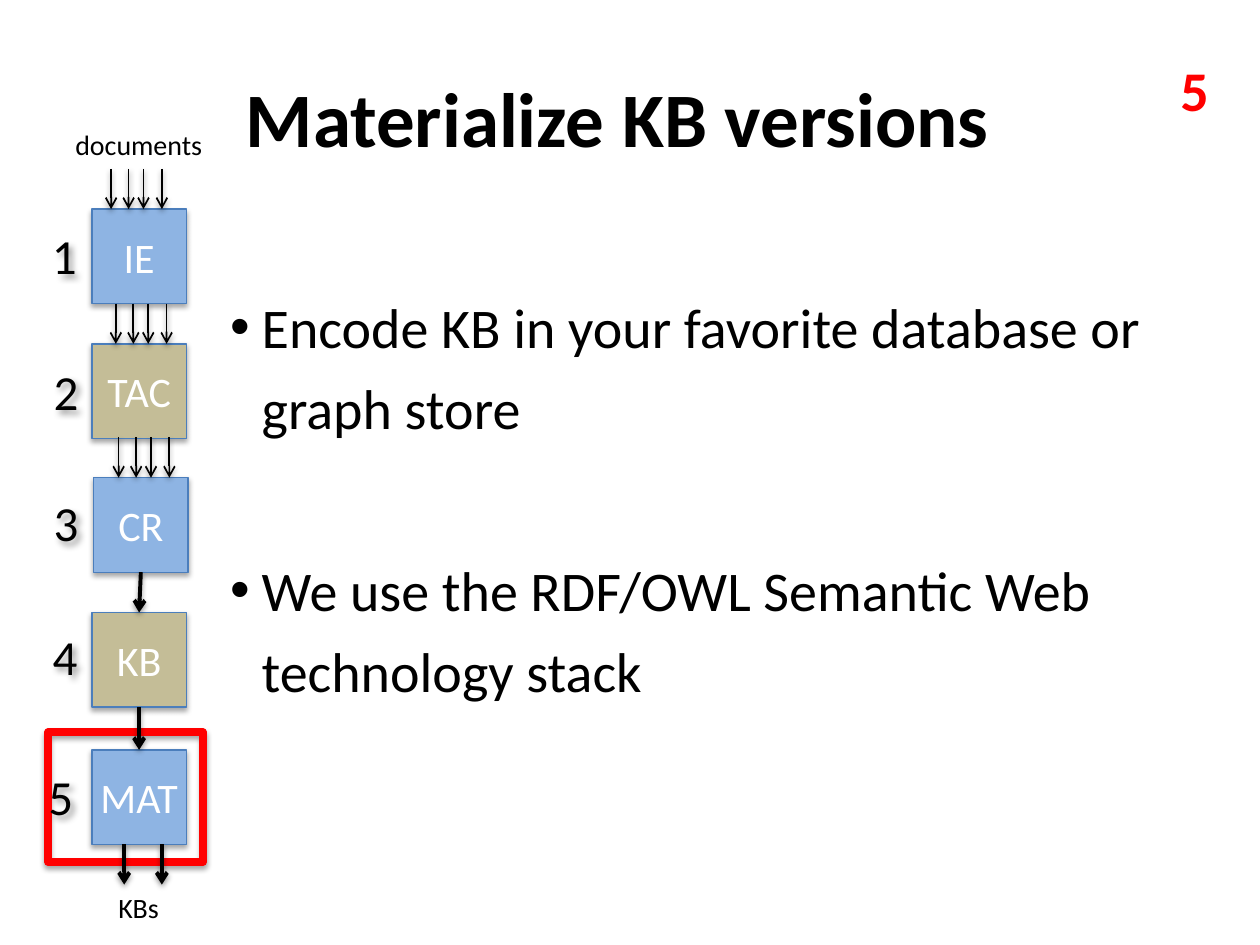
"""Build the slide on materializing KB versions, with its pipeline column."""
from lxml import etree
from pptx import Presentation
from pptx.dml.color import RGBColor
from pptx.enum import shapes, text
from pptx.oxml import ns
from pptx.util import Pt

TITLE = "Materialize KB versions"
POINTS = [
    ("Encode KB in your favorite database or graph store", 6.4),
    ("We use the RDF/OWL Semantic Web technology stack", 58),
]
COLORS = {"black": "000000", "white": "FFFFFF", "red": "FF0000",
          "blue": "8EB4E3", "tan": "C4BD97", "edge": "4B7EBC"}
# label, left, top, number left, number top
STAGES = [
    ("IE", 52.5, 119.5, 22.5, 125.5),
    ("TAC", 52.5, 196.5, 23.5, 203),
    ("CR", 53.5, 273, 23.5, 278),
    ("KB", 52.5, 350, 23, 354.5),
    ("MAT", 52.5, 428.5, 20.5, 434.5),
]
NOTES = [("documents", 36, 69.5, 88.5), ("KBs", 60.5, 505.5, 38)]
FLOWS = [(80.5, 327, 79.5, 350), (79.5, 404, 79.5, 428.5),
         (71, 482.5, 71, 505.5), (92.5, 482.5, 92.5, 505.5)]
FEEDS = [63.5, 66.2, 67.8]
GAPS = [0, 10, 18.5, 29]
SIDE, DROP = 54, 23


def rgb(name):
    """Return the named colour."""
    return RGBColor.from_string(COLORS[name])


def write(shape, words, size, color="black", bold=False, wrap=False,
          align=text.PP_ALIGN.LEFT, anchor=text.MSO_ANCHOR.TOP, pad=7.2):
    """Put one formatted paragraph, or a list of them, into a shape."""
    frame = shape.text_frame
    frame.word_wrap = wrap
    frame.vertical_anchor = anchor
    frame.margin_left = frame.margin_right = Pt(pad)
    frame.margin_top = frame.margin_bottom = Pt(3.6)
    frame.text = words if isinstance(words, str) else "\n".join(words)
    for para in frame.paragraphs:
        para.alignment = align
        font = para.runs[0].font
        font.name, font.size, font.bold = "Calibri", Pt(size), bold
        font.color.rgb = rgb(color)
    return frame


def shade(shape, alpha=35, blur=3.1, dist=1.8, angle=90):
    """Give a shape a soft outer shadow."""
    props = shape._element.spPr
    fx = props.find(ns.qn("a:effectLst"))
    if fx is None:
        fx = etree.SubElement(props, ns.qn("a:effectLst"))
    cast = etree.SubElement(fx, ns.qn("a:outerShdw"), blurRad=str(Pt(blur)),
                            dist=str(Pt(dist)), dir=str(angle * 60000),
                            rotWithShape="0")
    tone = etree.SubElement(cast, ns.qn("a:srgbClr"), val=COLORS["black"])
    etree.SubElement(tone, ns.qn("a:alpha"), val=str(alpha * 1000))


def label(slide, words, left, top, width, height, size, **form):
    """Add a text box."""
    box = slide.shapes.add_textbox(Pt(left), Pt(top), Pt(width), Pt(height))
    write(box, words, size, **form)
    return box


def square(slide, left, top, width, height, fill, edge, weight):
    """Add a shadowed rectangle."""
    box = slide.shapes.add_shape(shapes.MSO_SHAPE.RECTANGLE, Pt(left), Pt(top),
                                 Pt(width), Pt(height))
    box.shadow.inherit = False
    if fill:
        box.fill.solid()
        box.fill.fore_color.rgb = rgb(fill)
    else:
        box.fill.background()
    box.line.color.rgb = rgb(edge)
    box.line.width = Pt(weight)
    shade(box)
    return box


def arrow(slide, ends, weight):
    """Add an arrow between two points."""
    line = slide.shapes.add_connector(shapes.MSO_CONNECTOR.STRAIGHT,
                                      *[Pt(n) for n in ends])
    line.line.color.rgb = rgb("black")
    line.line.width = Pt(weight)
    etree.SubElement(line.line._get_or_add_ln(), ns.qn("a:tailEnd"), type="arrow")
    shade(line, alpha=38, dist=1.6)


def bullets(slide):
    """Add the bulleted points."""
    box = label(slide, [words for words, _ in POINTS], 124.5, 156, 595.5, 195,
                32, wrap=True)
    for para, (_, space) in zip(box.text_frame.paragraphs, POINTS):
        para.line_spacing, para.space_before = 1.2, Pt(space)
        props = para._p.get_or_add_pPr()
        props.set("marL", str(Pt(18)))
        props.set("indent", str(-Pt(18)))
        etree.SubElement(props, ns.qn("a:buFont"), typeface="Arial")
        etree.SubElement(props, ns.qn("a:buChar"), char="•")


def column(slide):
    """Add the pipeline from documents to KBs."""
    mid = {"align": text.PP_ALIGN.CENTER, "anchor": text.MSO_ANCHOR.MIDDLE}
    square(slide, 27.5, 418.5, 88.5, 74, None, "red", 4.5)
    for i, (name, left, top, _, _) in enumerate(STAGES):
        box = square(slide, left, top, SIDE, SIDE, ("blue", "tan")[i % 2],
                     "edge", 0.75)
        write(box, name, 24, color="white", pad=0, **mid)
    for ends in FLOWS:
        arrow(slide, ends, 2.25)
    for start, (_, _, top, _, _) in zip(FEEDS, STAGES):
        for gap in GAPS:
            arrow(slide, (start + gap, top - DROP, start + gap, top), 1)
    for words, left, top, width in NOTES:
        label(slide, words, left, top, width, 26.5, 16)
    for i, (_, _, _, left, top) in enumerate(STAGES, 1):
        digit = label(slide, str(i), left, top, 28.5, 41, 28)
        shade(digit, alpha=40, blur=4, dist=3, angle=45)


def main():
    """Build and save the slide."""
    deck = Presentation()
    deck.slide_width, deck.slide_height = Pt(720), Pt(540)
    slide = deck.slides.add_slide(deck.slide_layouts[5])
    head = slide.shapes.title
    head.left, head.top, head.width, head.height = Pt(75), Pt(21.5), Pt(556), Pt(90)
    write(head, TITLE, 44, bold=True, wrap=True, align=text.PP_ALIGN.CENTER,
          anchor=text.MSO_ANCHOR.MIDDLE)
    bullets(slide)
    label(slide, "5", 667.5, 28, 31, 46, 32, color="red", bold=True)
    column(slide)
    deck.save("out.pptx")


if __name__ == "__main__":
    main()
